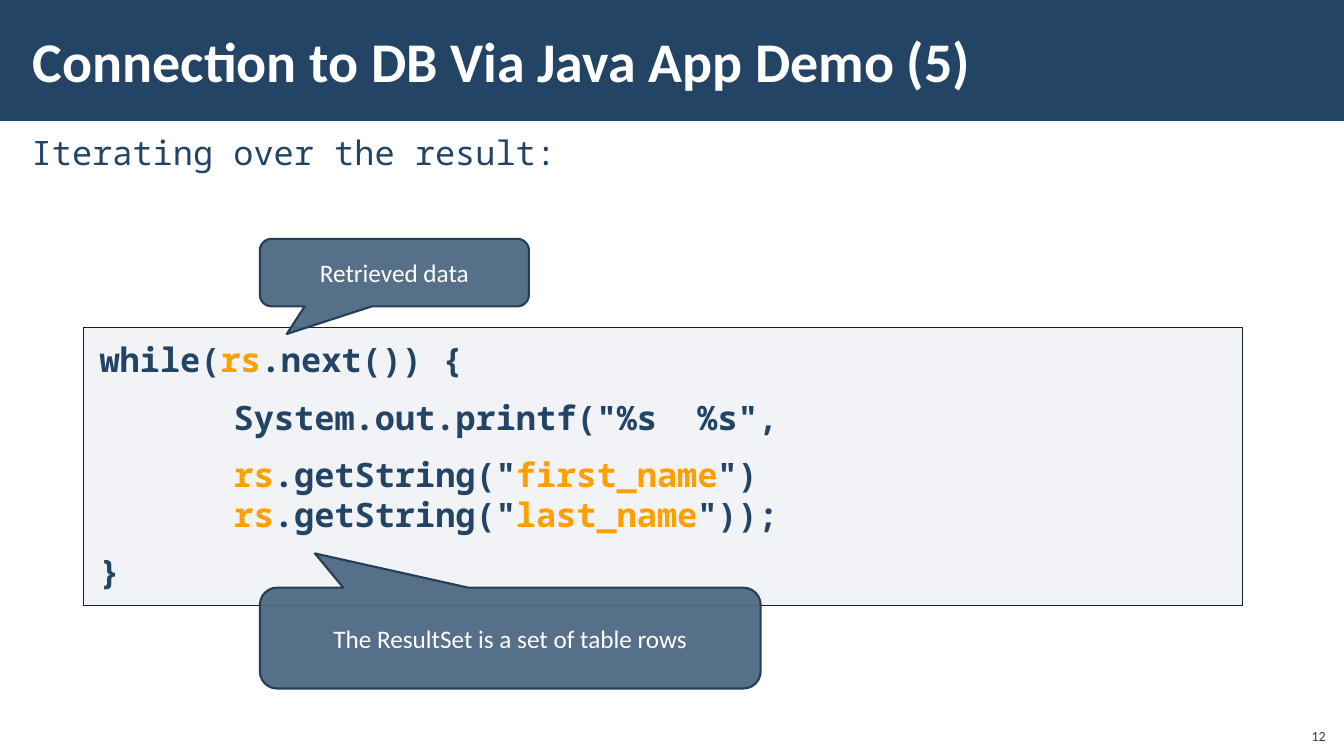
import pptx
import pptx.dml.color
import pptx.enum.shapes
import pptx.enum.text
import pptx.oxml.ns
import pptx.util
from lxml import etree
from dataclasses import dataclass

Cm = pptx.util.Cm
Pt = pptx.util.Pt
Shapes = pptx.enum.shapes.MSO_SHAPE
Align = pptx.enum.text.PP_ALIGN
Anchor = pptx.enum.text.MSO_ANCHOR


@dataclass(frozen=True)
class Theme:
    navy: str = "234465"
    white: str = "FFFFFF"
    highlight: str = "FFA000"
    panel: str = "ADB4C3"
    panel_edge: str = "112233"
    callout: str = "4F6984"
    callout_edge: str = "253E57"
    sans: str = "Calibri"
    mono: str = "Noto Sans Mono"
    title_size: int = 40
    code_size: int = 24
    callout_size: int = 18
    number_size: int = 10


THEME = Theme()

# Each paragraph holds lines; each line holds (text, highlighted) pieces.
CODE = [
    (0, [[("while(", False), ("rs", True), (".next()) {", False)]]),
    (3.38, [[('System.out.printf("%s  %s",', False)]]),
    (3.38, [
        [("rs", True), ('.getString("', False), ("first_name", True), ('")', False)],
        [("rs", True), ('.getString("', False), ("last_name", True), ('"));', False)],
    ]),
    (0, [[("}", False)]]),
]


def apply_format(target, values):
    for name, value in values.items():
        setattr(target, name, value)


def rgb(color):
    return pptx.dml.color.RGBColor.from_string(color)


def add_run(paragraph, text, font, size, color, bold=False):
    run = paragraph.add_run()
    run.text = text
    apply_format(run.font, {"name": font, "size": Pt(size), "bold": bold})
    run.font.color.rgb = rgb(color)


def set_frame(frame, insets, anchor=Anchor.TOP):
    """Wrap the text, with horizontal and vertical insets in centimetres."""
    across, down = (Cm(inset) for inset in insets)
    apply_format(frame, {
        "word_wrap": True, "vertical_anchor": anchor,
        "margin_left": across, "margin_right": across,
        "margin_top": down, "margin_bottom": down,
    })


def add_panel(slide, kind, box, fill, opacity=100, edge=None, edge_width=1):
    panel = slide.shapes.add_shape(kind, *map(Cm, box))
    panel.shadow.inherit = False
    panel.fill.solid()
    panel.fill.fore_color.rgb = rgb(fill)
    if opacity < 100:
        color = panel.fill._xPr.find(".//" + pptx.oxml.ns.qn("a:srgbClr"))
        alpha = etree.SubElement(color, pptx.oxml.ns.qn("a:alpha"))
        alpha.set("val", str(opacity * 1000))
    if edge:
        panel.line.color.rgb = rgb(edge)
        panel.line.width = Pt(edge_width)
    else:
        panel.line.fill.background()
    return panel


def add_label(slide, box, text, font, size, color, insets, anchor,
              bold=False, align=Align.LEFT):
    frame = slide.shapes.add_textbox(*map(Cm, box)).text_frame
    set_frame(frame, insets, anchor)
    frame.paragraphs[0].alignment = align
    add_run(frame.paragraphs[0], text, font, size, color, bold)


def add_code(slide, box):
    frame = add_panel(slide, Shapes.RECTANGLE, box, THEME.panel, 15,
                      THEME.panel_edge).text_frame
    set_frame(frame, (0.4, 0.3))
    for index, (indent, lines) in enumerate(CODE):
        paragraph = frame.add_paragraph() if index else frame.paragraphs[0]
        apply_format(paragraph, {"alignment": Align.LEFT,
                                 "space_before": Pt(6), "space_after": Pt(6)})
        paragraph._p.get_or_add_pPr().set("marL", str(Cm(indent)))
        for number, pieces in enumerate(lines):
            if number:
                paragraph.add_line_break()
            for text, highlighted in pieces:
                color = THEME.highlight if highlighted else THEME.navy
                add_run(paragraph, text, THEME.mono, THEME.code_size, color, True)


def add_callout(slide, box, tip, text):
    """Tip is the pointer's offset from the centre, as shares of the size."""
    callout = add_panel(slide, Shapes.ROUNDED_RECTANGULAR_CALLOUT, box,
                        THEME.callout, 95, THEME.callout_edge, 1.5)
    for index, share in enumerate((*tip, 0.17)):
        callout.adjustments[index] = share
    set_frame(callout.text_frame, (0.25, 0.13), Anchor.MIDDLE)
    paragraph = callout.text_frame.paragraphs[0]
    paragraph.alignment = Align.CENTER
    add_run(paragraph, text, THEME.sans, THEME.callout_size, THEME.white)


def main():
    deck = pptx.Presentation()
    apply_format(deck, {"slide_width": Cm(33.87), "slide_height": Cm(19.05)})
    slide = deck.slides.add_slide(deck.slide_layouts[6])

    add_panel(slide, Shapes.RECTANGLE, (0, 0, 33.87, 3.05), THEME.navy)
    add_label(slide, (0.53, 0.28, 27, 2.46), "Connection to DB Via Java App Demo (5)",
              THEME.sans, THEME.title_size, THEME.white, (0.3, 0.1),
              Anchor.MIDDLE, bold=True)
    add_label(slide, (0.48, 3.2, 32.79, 15.47), "Iterating over the result:",
              THEME.mono, THEME.code_size, THEME.navy, (0.32, 0.13), Anchor.TOP)
    add_code(slide, (2.11, 8.25, 29.21, 7.01))
    add_callout(slide, (6.55, 6.02, 6.78, 1.7), (-0.4, 0.91), "Retrieved data")
    add_callout(slide, (6.55, 14.81, 12.62, 2.54), (-0.39, -0.84),
                "The ResultSet is a set of table rows")
    add_label(slide, (32.64, 18.08, 1.02, 0.81), "12", THEME.sans,
              THEME.number_size, THEME.navy, (0.25, 0.13), Anchor.BOTTOM,
              align=Align.RIGHT)

    deck.save("out.pptx")


if __name__ == "__main__":
    main()
